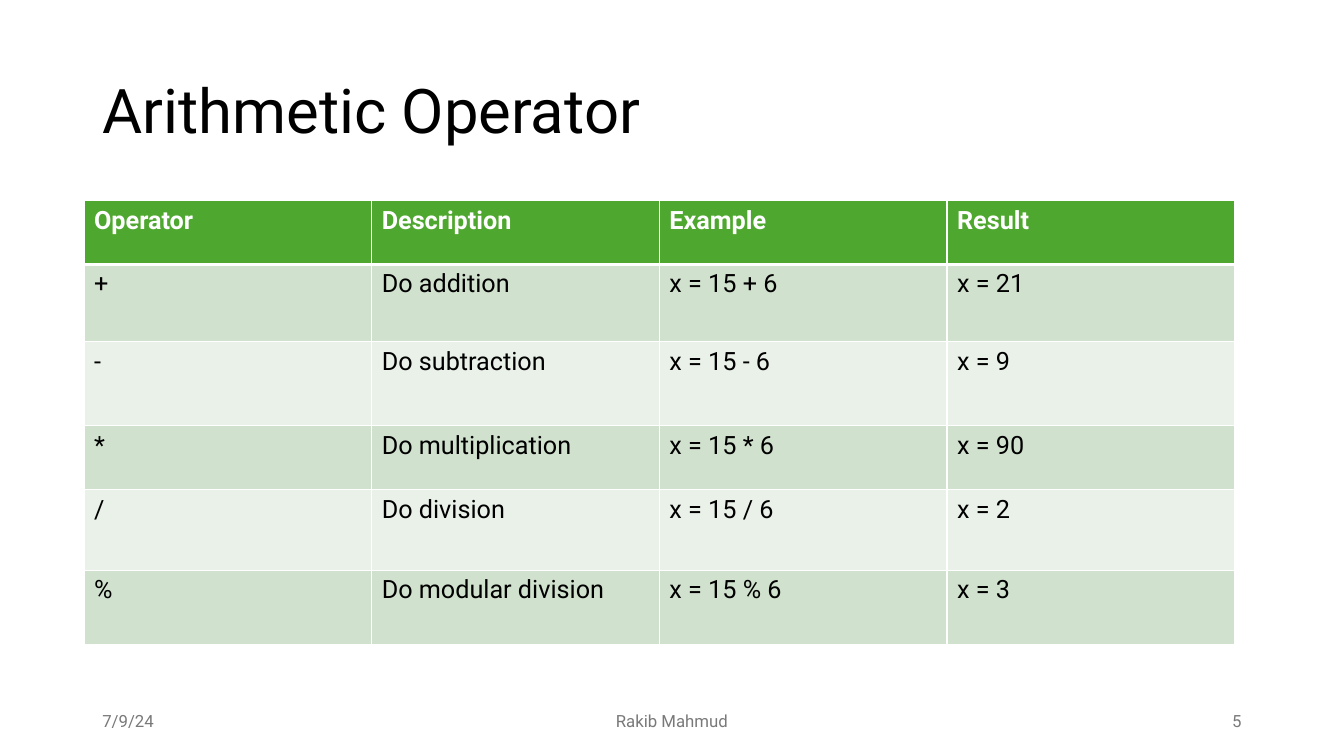
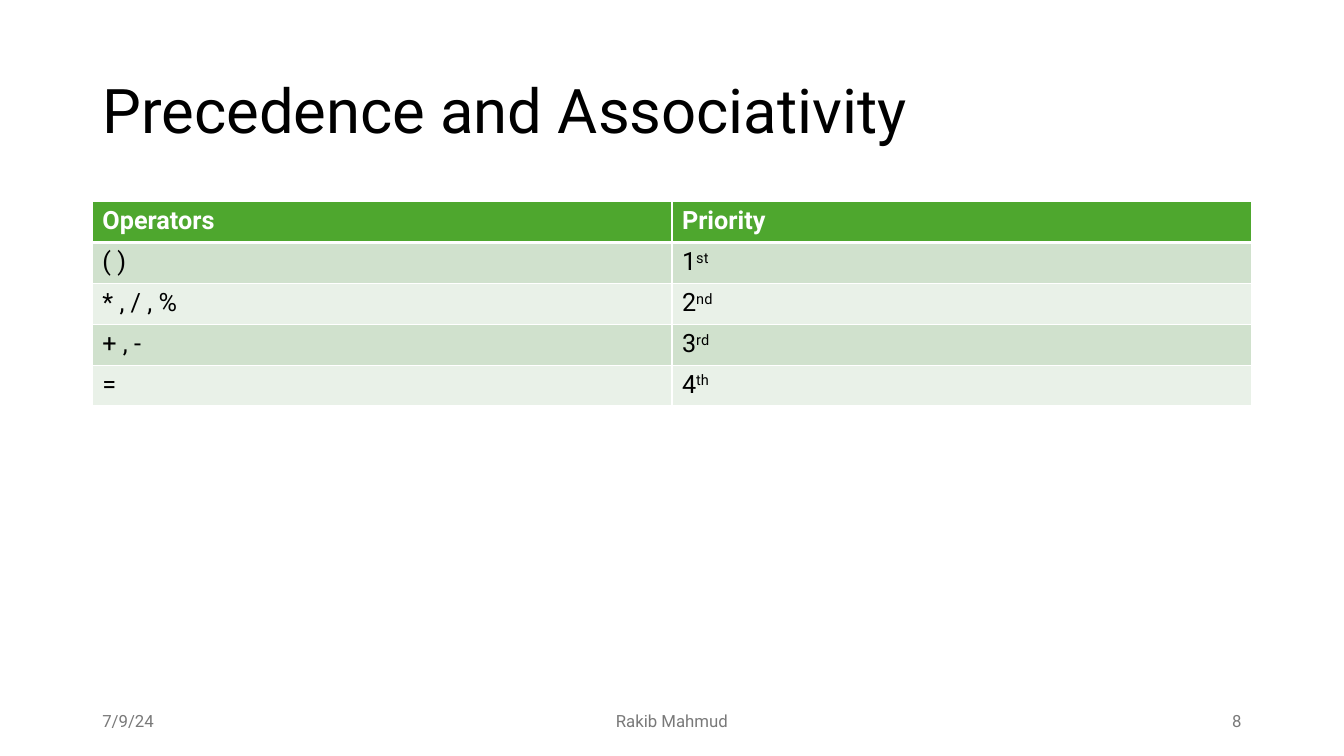
from lxml import etree
from pptx import Presentation
from pptx import util as u
from pptx.dml.color import RGBColor
from pptx.enum import text
from pptx.oxml.ns import qn

BLACK = RGBColor(0x00, 0x00, 0x00)
WHITE = RGBColor(0xFF, 0xFF, 0xFF)
GRAY = RGBColor(0x79, 0x79, 0x79)
GREEN = RGBColor(0x4E, 0xA7, 0x2E)
BANDS = (RGBColor(0xD0, 0xE1, 0xCD), RGBColor(0xE9, 0xF1, 0xE8))

COLUMNS, ROWS = 160, 90
MARGIN = 11
CONTENT = COLUMNS - 2 * MARGIN
TITLE_ONLY = 5

OPERATORS = [
    ("Operator", "Description", "Example", "Result"),
    ("+", "Do addition", "x = 15 + 6", "x = 21"),
    ("-", "Do subtraction", "x = 15 - 6", "x = 9"),
    ("*", "Do multiplication", "x = 15 * 6", "x = 90"),
    ("/", "Do division", "x = 15 / 6", "x = 2"),
    ("%", "Do modular division", "x = 15 % 6", "x = 3"),
]
PRIORITIES = [
    ("Operators", "Priority"),
    ("( )", "1^st"),
    ("* , / , %", "2^nd"),
    ("+ , -", "3^rd"),
    ("=", "4^th"),
]


def grid(units):
    """Length of a number of grid units, each a twelfth of an inch."""
    return u.Inches(units / 12)


def set_borders(cell, top, bottom):
    """White lines: one point at the sides, the given points above and below."""
    properties = cell._tc.get_or_add_tcPr()
    for side, points in (("L", 1), ("R", 1), ("T", top), ("B", bottom)):
        line = etree.SubElement(properties, qn(f"a:ln{side}"), w=str(u.Pt(points)))
        fill = etree.SubElement(line, qn("a:solidFill"))
        etree.SubElement(fill, qn("a:srgbClr"), val=str(WHITE))


class Deck:
    font = "Roboto"
    date = "7/9/24"
    author = "Rakib Mahmud"

    def __init__(self):
        self.presentation = Presentation()
        self.presentation.slide_width = grid(COLUMNS)
        self.presentation.slide_height = grid(ROWS)
        self.slide = None

    def add_slide(self, title, number):
        layout = self.presentation.slide_layouts[TITLE_ONLY]
        self.slide = self.presentation.slides.add_slide(layout)
        self.title(title)
        self.footer(number)

    def run(self, paragraph, words, size, color, bold=False, raised=False):
        run = paragraph.add_run()
        run.text = words
        run.font.name = self.font
        run.font.size = u.Pt(size)
        run.font.bold = bold
        run.font.color.rgb = color
        if raised:
            run._r.get_or_add_rPr().set("baseline", "30000")

    def title(self, words):
        heading = self.slide.shapes.title
        heading.left, heading.top = grid(MARGIN), grid(4.8)
        heading.width, heading.height = grid(CONTENT), grid(17.4)
        frame = heading.text_frame
        frame.word_wrap = True
        frame.auto_size = text.MSO_AUTO_SIZE.NONE
        frame.vertical_anchor = text.MSO_ANCHOR.MIDDLE
        paragraph = frame.paragraphs[0]
        paragraph.alignment = text.PP_ALIGN.LEFT
        paragraph.line_spacing = 0.9
        self.run(paragraph, words, 44, BLACK)

    def footer(self, number):
        align = text.PP_ALIGN
        parts = (
            (self.date, MARGIN, 36, align.LEFT),
            (self.author, 53, 54, align.CENTER),
            (str(number), 113, 36, align.RIGHT),
        )
        for words, left, width, alignment in parts:
            box = self.slide.shapes.add_textbox(
                grid(left), grid(83.4), grid(width), grid(4.8))
            frame = box.text_frame
            frame.word_wrap = True
            frame.vertical_anchor = text.MSO_ANCHOR.MIDDLE
            frame.paragraphs[0].alignment = alignment
            self.run(frame.paragraphs[0], words, 12, GRAY)

    def table(self, records, left, top, column_width, row_heights):
        """Header row and banded rows; text after ^ in a cell is raised."""
        count = len(records[0])
        table = self.slide.shapes.add_table(
            len(records), count, grid(left), grid(top),
            grid(column_width * count), grid(sum(row_heights))).table
        for column in table.columns:
            column.width = grid(column_width)
        for index, (record, height) in enumerate(zip(records, row_heights)):
            table.rows[index].height = grid(height)
            header = index == 0
            for place, words in enumerate(record):
                cell = table.cell(index, place)
                set_borders(cell, top=3 if index == 1 else 1, bottom=3 if header else 1)
                cell.fill.solid()
                cell.fill.fore_color.rgb = GREEN if header else BANDS[(index - 1) % 2]
                color = WHITE if header else BLACK
                paragraph = cell.text_frame.paragraphs[0]
                base, _, suffix = words.partition("^")
                self.run(paragraph, base, 18, color, bold=header)
                if suffix:
                    self.run(paragraph, suffix, 18, color, raised=True)


def main():
    deck = Deck()
    deck.add_slide("Arithmetic Operator", 5)
    deck.table(OPERATORS, 10, 23.9, 34.25, (7.6, 9.2, 10, 7.6, 9.6, 8.8))
    deck.add_slide("Precedence and Associativity", 8)
    deck.table(PRIORITIES, MARGIN, 24, CONTENT / 2, [4.87] * len(PRIORITIES))
    deck.presentation.save("out.pptx")


if __name__ == "__main__":
    main()
